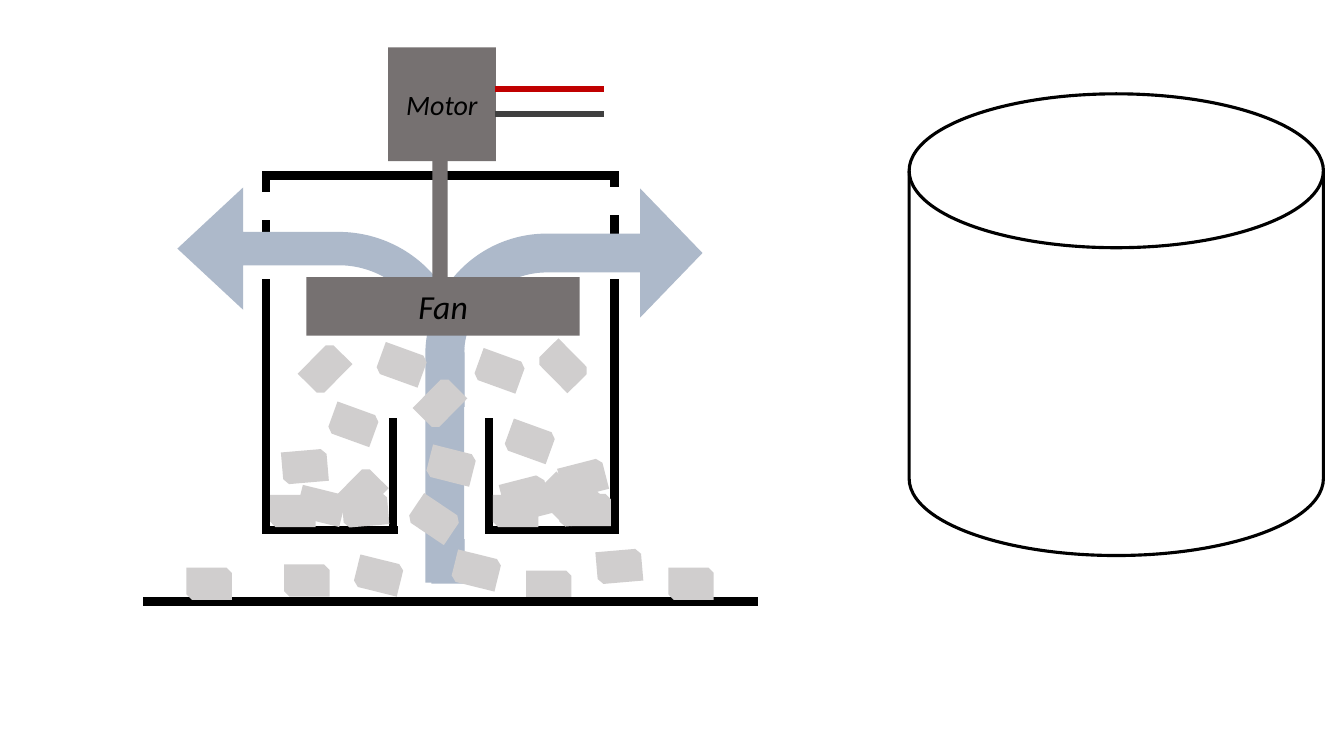
from lxml.etree import SubElement
from pptx import Presentation
from pptx.dml.color import RGBColor
from pptx.enum.shapes import MSO_CONNECTOR, MSO_SHAPE
from pptx.enum.text import MSO_ANCHOR, PP_ALIGN
from pptx.oxml.ns import qn
from pptx.util import Pt

BLACK = "000000"
WHITE = "FFFFFF"
METAL = "767171"
AIR = "ADB9CA"
DEBRIS = "D0CECE"
WALL_WIDTH = 6
WIRE_WIDTH = 4.5
GROUND_Y = 429.8
FLOOR_Y = 380.9

BURIED_DEBRIS = [(375.8, 407.5, 0)]
GROUND_DEBRIS = [
    (324, 396, 13.9), (426.2, 393.1, 355.1), (254.2, 399.6, 13.9),
    (203, 403.2, 0), (133.2, 405.4, 0), (477.4, 405.4, 0),
]
RISING_DEBRIS = [(293.8, 359.3, 33.9), (306, 321.1, 14.2), (298.1, 276.5, 134.6)]
RIGHT_DEBRIS = [
    (340.6, 253.4, 19.9), (385.9, 249.8, 45.4), (362.2, 303.8, 19.9),
    (400.3, 330.5, 345.6), (359.3, 342, 345.6, 28.8), (384.5, 344.9, 45.4),
    (398.9, 352.1, 355.1), (352.1, 353.5, 0), (403.9, 352.8, 0),
]
LEFT_DEBRIS = [
    (270.7, 249.1, 19.9), (216, 252, 134.6), (236.2, 291.6, 19.9),
    (201.6, 321.8, 355.1), (193, 353.5, 0), (213.1, 349.9, 13.9),
    (244.8, 352.8, 355.1), (241.9, 340.6, 134.6),
]


def color(value):
    return RGBColor.from_string(value)


def add_figure(slide, kind, box, fill=None, line=None, line_width=2.25):
    shape = slide.shapes.add_shape(kind, *(Pt(length) for length in box))
    shape.shadow.inherit = False
    if fill:
        shape.fill.solid()
        shape.fill.fore_color.rgb = color(fill)
    else:
        shape.fill.background()
    if line:
        shape.line.color.rgb = color(line)
        shape.line.width = Pt(line_width)
        SubElement(shape.line._get_or_add_ln(), qn("a:miter"), lim="800000")
    else:
        shape.line.fill.background()
    return shape


def add_line(slide, start, end, line, width):
    points = [Pt(length) for length in (*start, *end)]
    connector = slide.shapes.add_connector(MSO_CONNECTOR.STRAIGHT, *points)
    connector.line.color.rgb = color(line)
    connector.line.width = Pt(width)
    SubElement(connector._element.spPr, qn("a:effectLst"))


def add_part(slide, box, text=None, size=None):
    shape = add_figure(slide, MSO_SHAPE.RECTANGLE, box, METAL)
    if text:
        frame = shape.text_frame
        frame.vertical_anchor = MSO_ANCHOR.MIDDLE
        paragraph = frame.paragraphs[0]
        paragraph.alignment = PP_ALIGN.CENTER
        run = paragraph.add_run()
        run.text = text
        run.font.name = "Calibri"
        run.font.size = Pt(size)
        run.font.italic = True
        run.font.color.rgb = color(BLACK)


def add_opening(slide, left, top, width=51.8, height=18):
    add_figure(slide, MSO_SHAPE.RECTANGLE, (left, top, width, height), WHITE, WHITE)


def add_airflow(slide, box, adjustments, flipped=False):
    shape = add_figure(slide, MSO_SHAPE.BENT_ARROW, box, AIR)
    for index, value in enumerate(adjustments):
        shape.adjustments[index] = value
    if flipped:
        shape._element.spPr.xfrm.set("flipH", "1")


def add_debris(slide, pieces):
    for left, top, angle, *height in pieces:
        box = (left, top, 32.4, *(height or [23]))
        shape = add_figure(slide, MSO_SHAPE.SNIP_2_DIAG_RECTANGLE, box, DEBRIS)
        shape.rotation = angle


def add_inlet_wall(slide, x):
    add_line(slide, (x, FLOOR_Y), (x, 298.5), BLACK, WALL_WIDTH)


def main():
    presentation = Presentation()
    presentation.slide_width = Pt(960)
    presentation.slide_height = Pt(540)
    slide = presentation.slides.add_slide(presentation.slide_layouts[6])

    housing = (190, 125.3, 249, 253.4)
    add_figure(slide, MSO_SHAPE.RECTANGLE, housing, line=BLACK, line_width=WALL_WIDTH)
    add_opening(slide, 171.4, 138.2)
    add_opening(slide, 162.7, 180)
    add_airflow(slide, (126.7, 133.9, 205.2, 283), (0.116, 0.213, 0.229, 0.438), True)
    add_opening(slide, 421.9, 134.6)
    add_opening(slide, 427.7, 180)
    cylinder = (649.4, 67, 295.9, 329.8)
    add_figure(slide, MSO_SHAPE.FLOWCHART_MAGNETIC_DISK, cylinder, line=BLACK)
    add_opening(slide, 285.1, 291.6, 60.5, 92.2)
    add_inlet_wall(slide, 280.8)
    add_airflow(slide, (303.8, 134.6, 198, 281.5), (0.14, 0.233, 0.225, 0.438))
    add_inlet_wall(slide, 349.2)

    add_part(slide, (218.9, 198, 195.1, 41.8), "Fan", 24)
    add_part(slide, (277.2, 33.8, 77, 81.4), "Motor", 20)
    add_part(slide, (308.9, 94.3, 10.8, 103.7))

    add_debris(slide, BURIED_DEBRIS)
    add_line(slide, (102.2, GROUND_Y), (541.4, GROUND_Y), BLACK, WALL_WIDTH)
    for pieces in (GROUND_DEBRIS, RISING_DEBRIS, RIGHT_DEBRIS, LEFT_DEBRIS):
        add_debris(slide, pieces)

    for wire_y, wire_color in ((63.4, "C00000"), (81.4, "404040")):
        add_line(slide, (353.5, wire_y), (431.3, wire_y), wire_color, WIRE_WIDTH)

    presentation.save("out.pptx")


main()
